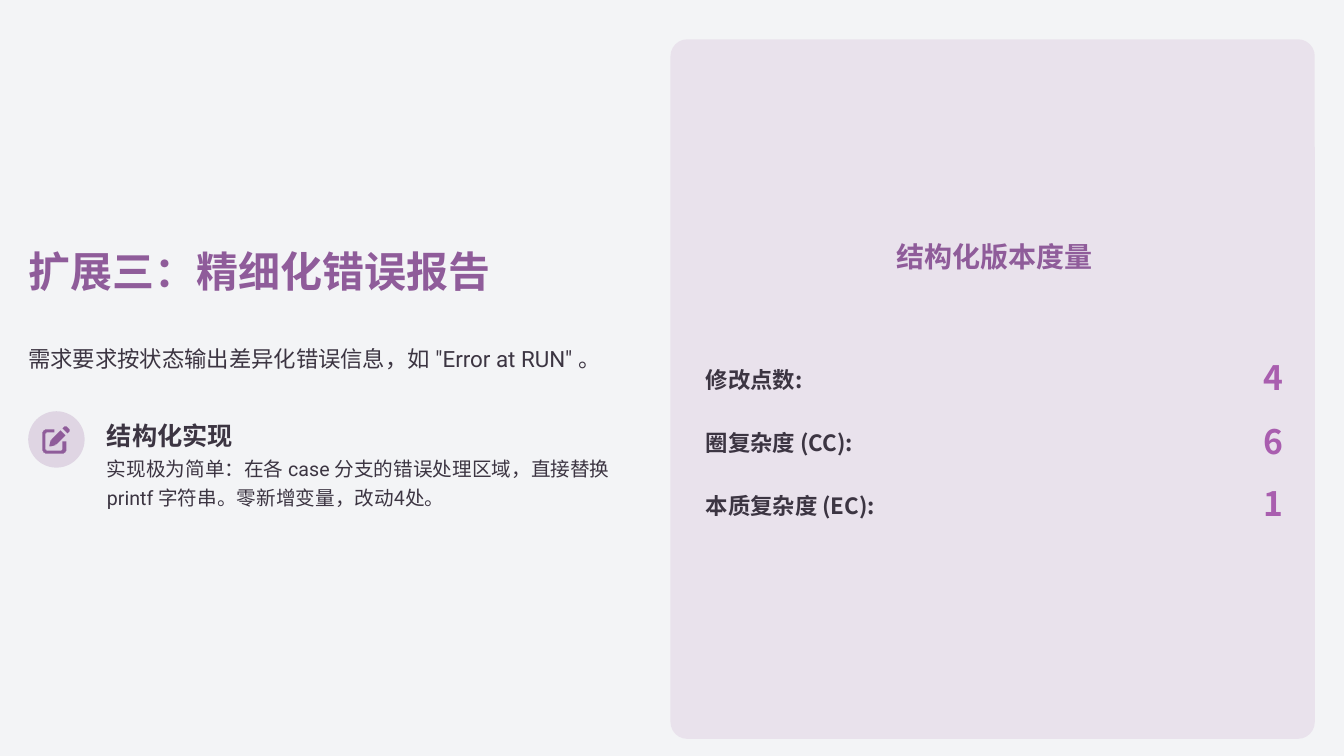
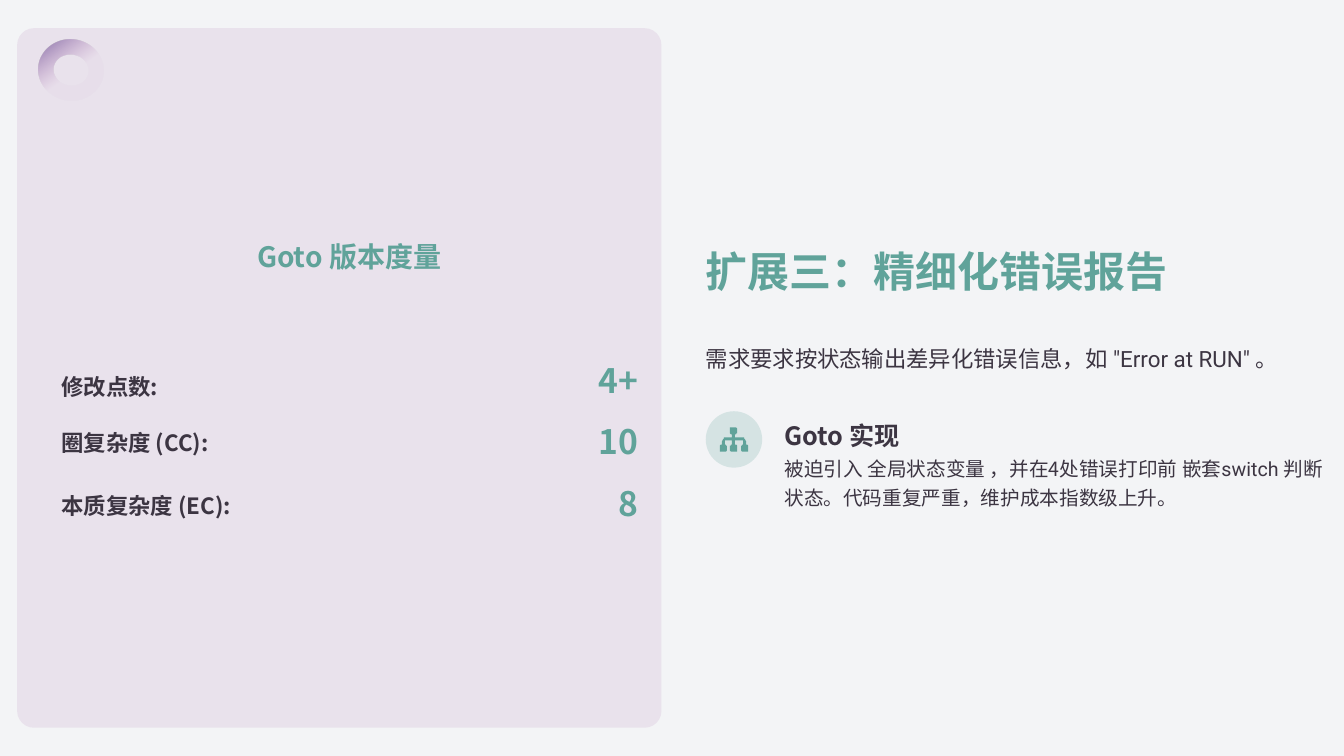
from dataclasses import dataclass
from math import hypot

from lxml import etree
from pptx import Presentation
from pptx import util as u
from pptx.dml.color import RGBColor
from pptx.enum import shapes, text
from pptx.oxml import parse_xml
from pptx.oxml.ns import nsdecls, qn


@dataclass(frozen=True)
class Theme:
    bg: str = "F3F4F6"
    ink: str = "3C3542"
    panel: str = "D3B9D7"
    purple: str = "8F5C9A"
    violet: str = "A95EAF"
    teal: str = "60A39A"
    font: str = "Noto Sans CJK SC"
    code_font: str = "Roboto"
    title: int = 30
    value: int = 24
    heading: int = 20
    subhead: int = 18
    lead: int = 16
    body: int = 14


T = Theme()

# Content: runs marked with a True flag use the code font
TITLE = "扩展三：精细化错误报告"
LEAD = [("需求要求按状态输出差异化错误信息，如 ", False), ('"Error at RUN" ', True), ("。", False)]
LABELS = ["修改点数:", "圈复杂度 (CC):", "本质复杂度 (EC):"]
SLIDES = [
    dict(accent=T.purple, value_color=T.violet, icon="edit", text_x=0.28,
         panel=(6.65, 0.39), label_x=7, value_right=12.73, heading_x=8.89,
         label_y=[3.56, 4.19, 4.81], value_y=[3.5, 4.14, 4.75],
         heading="结构化版本度量", values=["4", "6", "1"], subhead="结构化实现",
         body=[("实现极为简单：在各 ", False), ("case ", True),
               ("分支的错误处理区域，直接替换 ", False), ("printf ", True),
               ("字符串。零新增变量，改动4处。", False)]),
    dict(accent=T.teal, value_color=T.teal, icon="tree", text_x=7, donut=True,
         panel=(0.17, 0.28), label_x=0.61, value_right=6.33, heading_x=2.55,
         label_y=[3.63, 4.19, 4.81], value_y=[3.53, 4.14, 4.75],
         heading="Goto 版本度量", values=["4+", "10", "8"], subhead="Goto 实现",
         body=[("被迫引入 ", False), ("全局状态变量 ", True), ("，并在4处错误打印前", False),
               (" 嵌套switch ", True),
               ("判断状态。代码重复严重，维护成本指数级上升。", False)]),
]


def node(x, y):
    return [(x, y, 2), (x + 7, y, 2), (x + 7, y + 7, 2), (x, y + 7, 2)]


# Icons on a 28-unit grid: contours of (x, y, corner radius)
ICONS = {
    "edit": [
        [(20, 3, 0), (23, 0, 2), (28, 5, 2), (25, 8, 0)],
        [(18, 5, 0), (23, 10, 0), (13.5, 19.5, 2), (7, 21, 1), (8.5, 14.5, 2)],
        [(0, 4, 5), (12, 4, 1.4), (12, 7, 1.4), (3, 7, 2), (3, 25, 2), (20, 25, 2),
         (20, 16, 1.9), (24, 16, 1.9), (24, 28, 5), (0, 28, 5)],
    ],
    "tree": [
        node(10, 2), *(node(x, 19) for x in (0, 10.25, 21)),
        [(12, 9, 0), (15, 9, 0), (15, 12, 0), (25.5, 12, 4), (25.5, 19, 0), (23, 19, 0),
         (23, 15, 1), (15, 15, 0), (15, 19, 0), (12, 19, 0), (12, 15, 0), (5, 15, 1),
         (5, 19, 0), (2.5, 19, 0), (2.5, 12, 4), (12, 12, 0)],
    ],
}
UNIT = 0.01


def rounded(contour, steps=6):
    """Replace each corner that has a radius by a short curve."""
    points = []
    for i, (x, y, radius) in enumerate(contour):
        if not radius:
            points.append((x, y))
            continue
        ends = []
        for nx, ny, _ in (contour[i - 1], contour[(i + 1) % len(contour)]):
            share = min(radius / hypot(nx - x, ny - y), 0.5)
            ends.append((x + (nx - x) * share, y + (ny - y) * share))
        (ax, ay), (bx, by) = ends
        for k in range(steps + 1):
            t = k / steps
            a, c, b = (1 - t) ** 2, 2 * t * (1 - t), t * t
            points.append((a * ax + c * x + b * bx, a * ay + c * y + b * by))
    return points


def paint(sp, color, alpha=None):
    sp.shadow.inherit = False
    sp.line.fill.background()
    sp.fill.solid()
    sp.fill.fore_color.rgb = RGBColor.from_string(color)
    if alpha:
        clr = sp.fill._xPr.find(".//" + qn("a:srgbClr"))
        etree.SubElement(clr, qn("a:alpha"), val=str(alpha * 1000))


def add_preset(s, kind, x, y, w, h):
    return s.shapes.add_shape(kind, *map(u.Inches, (x, y, w, h)))


def add_icon(s, contours, x, y, color):
    first, *rest = [rounded(c) for c in contours]
    fb = s.shapes.build_freeform(*first[0], scale=u.Inches(UNIT))
    fb.add_line_segments(first[1:], close=True)
    for points in rest:
        fb.move_to(*points[0])
        fb.add_line_segments(points[1:], close=True)
    paint(fb.convert_to_shape(u.Inches(x), u.Inches(y)), color)


def add_donut(s):
    sp = add_preset(s, shapes.MSO_SHAPE.DONUT, 0.4, 0.37, 0.61, 0.65)
    paint(sp, T.panel)
    sp.rotation = 99
    stops = "".join(
        f'<a:gs pos="{pos}000"><a:srgbClr val="{c}"><a:alpha val="{alpha}000"/></a:srgbClr></a:gs>'
        for pos, c, alpha in ((0, "402E7F", 100), (54, "BC7DB7", 3), (100, "BC7DB7", 3)))
    grad = parse_xml(f'<a:gradFill {nsdecls("a")} rotWithShape="1"><a:gsLst>{stops}</a:gsLst>'
                     '<a:lin ang="18900000" scaled="0"/></a:gradFill>')
    sp_pr = sp._element.spPr
    sp_pr.replace(sp_pr.find(qn("a:solidFill")), grad)


def write(sp, box, parts, size, color, bold=False, spacing=1.0, align=text.PP_ALIGN.LEFT):
    sp.left, sp.top, sp.width, sp.height = map(u.Inches, box)
    tf = sp.text_frame
    tf.word_wrap = True
    tf.auto_size = text.MSO_AUTO_SIZE.NONE
    tf.vertical_anchor = text.MSO_ANCHOR.MIDDLE
    tf.margin_left = tf.margin_top = tf.margin_right = tf.margin_bottom = 0
    p = tf.paragraphs[0]
    p.alignment, p.line_spacing = align, spacing
    for words, is_code in [(parts, False)] if isinstance(parts, str) else parts:
        r = p.add_run()
        r.text = words
        r.font.size, r.font.bold = u.Pt(size), bold
        r.font.color.rgb = RGBColor.from_string(color)
        r.font.name = T.code_font if is_code else T.font
        etree.SubElement(r._r.get_or_add_rPr(), qn("a:ea"), typeface=T.font)


def add_text(s, box, *args, **kwargs):
    write(s.shapes.add_textbox(0, 0, 0, 0), box, *args, **kwargs)


def add_panel(s, d):
    sp = add_preset(s, shapes.MSO_SHAPE.ROUNDED_RECTANGLE, *d["panel"], 6.39, 6.94)
    sp.adjustments[0] = 0.026
    paint(sp, T.panel, 30)
    add_text(s, (d["heading_x"], 2.31, 2.2, 0.39), d["heading"], T.heading, d["accent"],
             bold=True, spacing=1.2)
    for label, value, label_y, value_y in zip(LABELS, d["values"], d["label_y"], d["value_y"]):
        add_text(s, (d["label_x"], label_y, 2, 0.33), label, T.lead, T.ink,
                 bold=True, spacing=1.3)
        add_text(s, (d["value_right"] - 1, value_y, 1, 0.44), value, T.value, d["value_color"],
                 bold=True, spacing=1.1, align=text.PP_ALIGN.RIGHT)


def add_story(s, d):
    x, y = d["text_x"], 4.08
    write(s.shapes.title, (x, 2.44, 6.26, 0.5), TITLE, T.title, d["accent"], bold=True)
    add_text(s, (x, 3.16, 6.17, 0.71), LEAD, T.lead, T.ink, spacing=1.3)
    paint(add_preset(s, shapes.MSO_SHAPE.OVAL, x, y, 0.56, 0.56), d["accent"], 20)
    add_icon(s, ICONS[d["icon"]], x + 0.14, y + 0.14, d["accent"])
    add_text(s, (x + 0.78, y, 5.4, 0.39), d["subhead"], T.subhead, T.ink,
             bold=True, spacing=1.3)
    add_text(s, (x + 0.78, y + 0.39, 5.38, 0.6), d["body"], T.body, T.ink, spacing=1.2)


def main():
    prs = Presentation()
    prs.slide_width, prs.slide_height = u.Inches(13.33), u.Inches(7.5)
    fill = prs.slide_master.background.fill
    fill.solid()
    fill.fore_color.rgb = RGBColor.from_string(T.bg)
    title_only = prs.slide_layouts[5]
    for d in SLIDES:
        s = prs.slides.add_slide(title_only)
        if d.get("donut"):
            add_donut(s)
        add_panel(s, d)
        add_story(s, d)
    prs.save("out.pptx")


if __name__ == "__main__":
    main()
